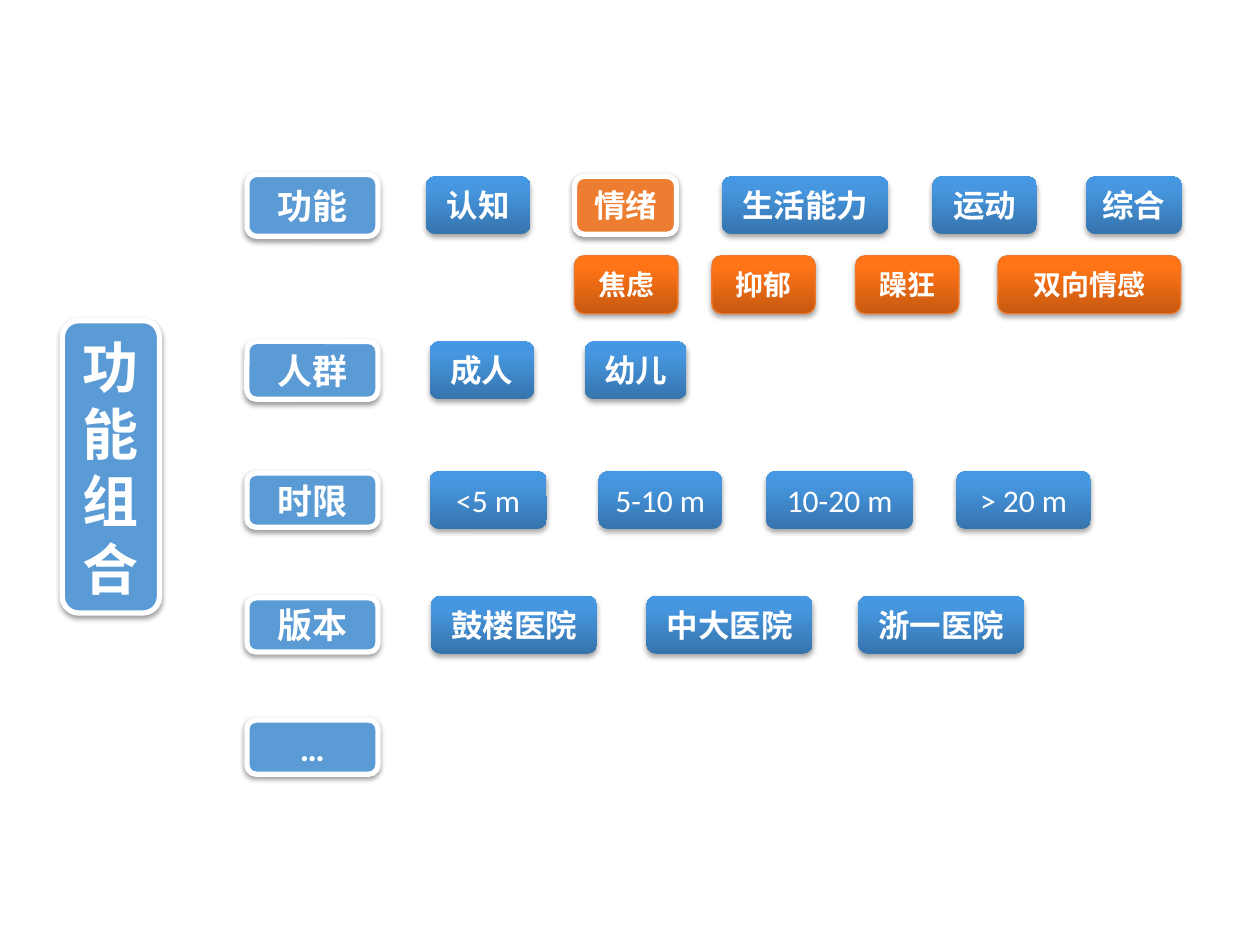
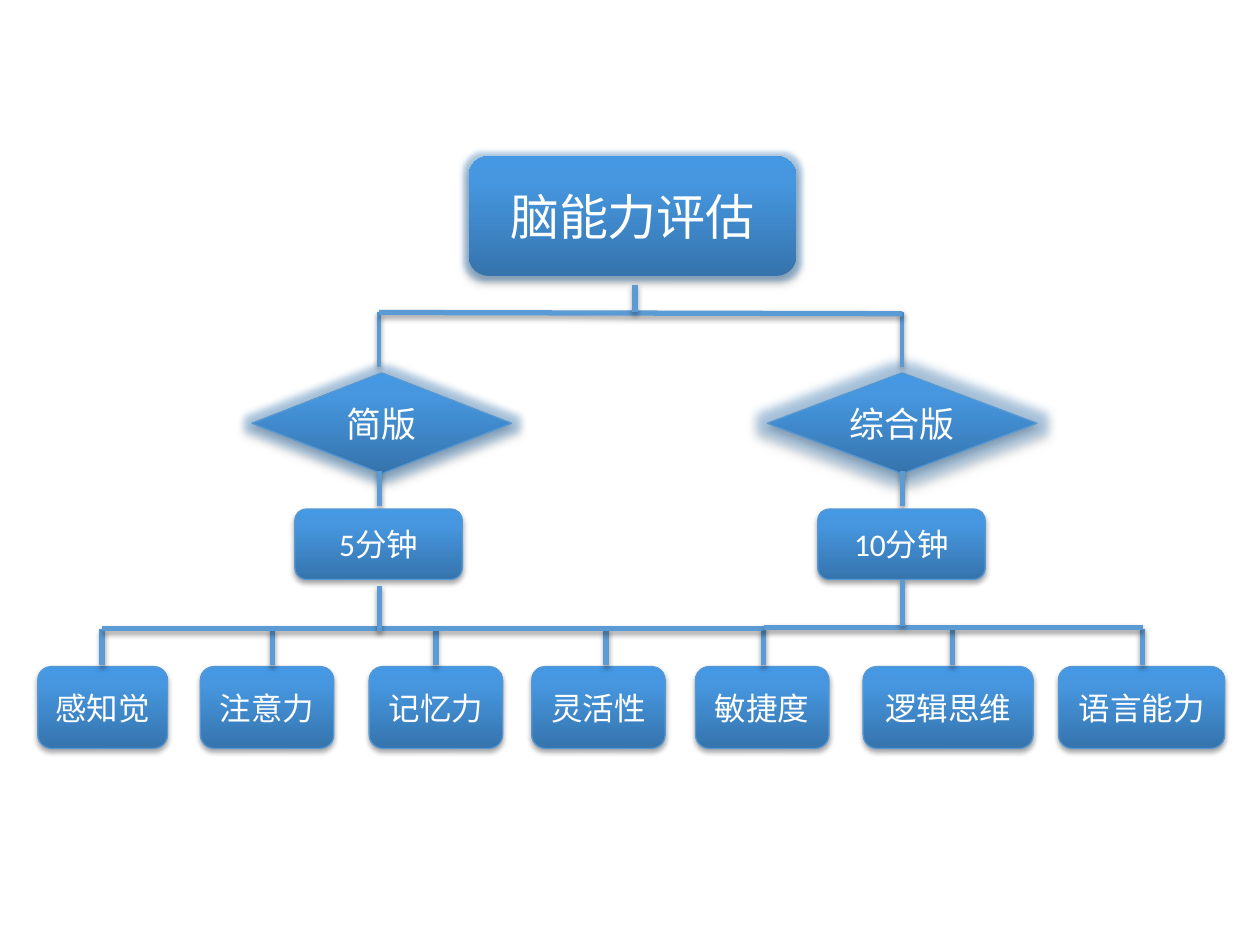
from copy import deepcopy

from lxml.etree import SubElement
from pptx import Presentation
from pptx.dml.color import RGBColor
from pptx.enum.shapes import MSO_CONNECTOR, MSO_SHAPE
from pptx.enum.text import MSO_ANCHOR, PP_ALIGN
from pptx.oxml.ns import qn
from pptx.util import Inches, Pt

# Shared look
FONT = "Calibri"
WHITE, BLACK = "FFFFFF", "000000"
BLUE, ORANGE, BLUE_EDGE, ORANGE_EDGE = "5B9BD5", "ED7D31", "5698D3", "EC792B"
BLUE_GRADIENT = ((0, "3674AD"), (0.8, "4697E0"), (1, "4498E4"))
ORANGE_GRADIENT = ((0, "C65910"), (0.8, "FF7416"), (1, "FF7517"))
# Shadows: opacity in percent, blur and distance in points
FLAT_SHADOW, CHIP_SHADOW, GLOW_SHADOW = (38, 3.1, 1.6), (35, 3.1, 1.8), (38, 4, 2)
PILL = MSO_SHAPE.FLOWCHART_ALTERNATE_PROCESS
DIAMOND = MSO_SHAPE.FLOWCHART_DECISION
ROUNDED = MSO_SHAPE.ROUNDED_RECTANGLE


def color(hex_string):
    return RGBColor.from_string(hex_string)


def add_effect_color(effect, hex_string, opacity):
    tint = SubElement(effect, qn("a:srgbClr"), val=hex_string)
    SubElement(tint, qn("a:alpha"), val=str(opacity * 1000))


def set_effects(properties, shadow, glow=0):
    """Give a shape or connector a downward shadow and an optional blue glow."""
    effects = properties.find(qn("a:effectLst"))
    if effects is None:
        effects = SubElement(properties, qn("a:effectLst"))
    if glow:
        halo = SubElement(effects, qn("a:glow"), rad=str(Pt(glow)))
        add_effect_color(halo, BLUE, 40)
    opacity, blur, distance = shadow
    outer = SubElement(effects, qn("a:outerShdw"), blurRad=str(Pt(blur)),
                       dist=str(Pt(distance)), dir="5400000", rotWithShape="0")
    add_effect_color(outer, BLACK, opacity)


def set_gradient(shape, stops):
    shape.fill.gradient()
    shape.fill.gradient_angle = 90
    stop_list = shape.element.spPr.find(".//" + qn("a:gsLst"))
    stop_list.append(deepcopy(stop_list[-1]))
    for stop, (position, hex_string) in zip(shape.fill.gradient_stops, stops):
        stop.position = position
        stop.color.rgb = color(hex_string)


def add_box(slide, kind, box, text, size, fill, edge=None, edge_width=0.75,
            shadow=CHIP_SHADOW, bold=False, glow=0):
    """Draw one labelled box; fill is a hex string or a list of gradient stops."""
    shape = slide.shapes.add_shape(kind, *(Inches(length) for length in box))
    if isinstance(fill, str):
        shape.fill.solid()
        shape.fill.fore_color.rgb = color(fill)
    else:
        set_gradient(shape, fill)
    if edge:
        shape.line.color.rgb = color(edge)
        shape.line.width = Pt(edge_width)
    else:
        shape.line.fill.background()
    shape.shadow.inherit = False
    set_effects(shape.element.spPr, shadow, glow)
    shape.text_frame.vertical_anchor = MSO_ANCHOR.MIDDLE
    paragraph = shape.text_frame.paragraphs[0]
    paragraph.text = text
    paragraph.alignment = PP_ALIGN.CENTER
    paragraph.font.name = FONT
    paragraph.font.size = Pt(size)
    paragraph.font.bold = bold
    paragraph.font.color.rgb = color(WHITE)
    return shape


def add_framed_box(slide, box, text, size, fill=BLUE):
    return add_box(slide, PILL, box, text, size, fill, WHITE, 3, FLAT_SHADOW, True)


def add_line(slide, start_x, start_y, end_x, end_y, width=3):
    ends = (Inches(length) for length in (start_x, start_y, end_x, end_y))
    connector = slide.shapes.add_connector(MSO_CONNECTOR.STRAIGHT, *ends)
    connector.line.color.rgb = color(BLUE)
    connector.line.width = Pt(width)
    set_effects(connector.element.spPr, FLAT_SHADOW)


# Slide 1: option matrix
CHIP_HEIGHT = 0.46
ROW_LEFT = 1.96
# Row: label, label height, middle, bold chips, chips as (text, offset, width)
OPTION_ROWS = [
    ("功能", 0.49, 1.63, True, [("认知", 1.42, 0.83), ("情绪", 2.6, 0.81),
                              ("生活能力", 3.77, 1.32), ("运动", 5.44, 0.83),
                              ("综合", 6.66, 0.76)]),
    ("人群", 0.46, 2.94, True, [("成人", 1.45, 0.83), ("幼儿", 2.68, 0.81)]),
    ("时限", 0.43, 3.97, False, [("<5 m", 1.45, 0.93), ("5-10 m", 2.79, 0.98),
                               ("10-20 m", 4.12, 1.17), ("> 20 m", 5.63, 1.07)]),
    ("版本", 0.43, 4.96, True, [("鼓楼医院", 1.46, 1.32), ("中大医院", 3.17, 1.32),
                              ("浙一医院", 4.85, 1.32)]),
    ("…", 0.43, 5.93, True, []),
]
SELECTED_OPTION = "情绪"
MOODS = [("焦虑", 2.6, 0.82), ("抑郁", 3.69, 0.82), ("躁狂", 4.83, 0.82),
         ("双向情感", 5.96, 1.45)]


def add_option_row(slide, left, label, label_height, middle, bold, chips):
    label_box = (left, middle - label_height / 2, 1.04, label_height)
    add_framed_box(slide, label_box, label, 20)
    for text, offset, width in chips:
        box = (left + offset, middle - CHIP_HEIGHT / 2, width, CHIP_HEIGHT)
        if text == SELECTED_OPTION:
            add_framed_box(slide, box, text, 18, ORANGE)
        else:
            add_box(slide, PILL, box, text, 18, BLUE_GRADIENT, bold=bold)


def add_mood_row(slide, left, top):
    for text, offset, width in MOODS:
        add_box(slide, PILL, (left + offset, top, width, CHIP_HEIGHT), text, 16,
                ORANGE_GRADIENT, ORANGE_EDGE, bold=True)


def build_option_slide(slide):
    heading = add_framed_box(slide, (-0.28, 3.32, 2.32, 0.77), "功能组合", 32)
    heading.rotation = 90
    heading.text_frame._txBody.bodyPr.set("vert", "vert270")
    for row in OPTION_ROWS:
        add_option_row(slide, ROW_LEFT, *row)
    add_mood_row(slide, ROW_LEFT, 2.03)


# Slide 2: assessment tree
ROOT_X, SHORT_X, FULL_X = 5.04, 3.01, 7.16
# Versions: centre, name, diamond left and width, glow, duration
VERSIONS = [(SHORT_X, "简版", 2, 2.06, 8, "5分钟"),
            (FULL_X, "综合版", 6.09, 2.14, 11, "10分钟")]
# Abilities: name, left, width, x of its branch
ABILITIES = [("感知觉", 0.3, 1.03, 0.81), ("注意力", 1.59, 1.06, 2.16),
             ("记忆力", 2.93, 1.06, 3.46), ("灵活性", 4.22, 1.06, 4.81),
             ("敏捷度", 5.52, 1.06, 6.06), ("逻辑思维", 6.85, 1.35, 7.56),
             ("语言能力", 8.4, 1.32, 9.07)]


def add_version(slide, top, center, name, left, width, glow, duration):
    add_box(slide, DIAMOND, (left, top, width, 0.8), name, 20, BLUE_GRADIENT,
            BLUE_EDGE, shadow=GLOW_SHADOW, glow=glow)
    add_line(slide, center, top + 0.78, center, top + 1.06)
    add_box(slide, ROUNDED, (center - 0.67, top + 1.08, 1.33, 0.56), duration, 18,
            BLUE_GRADIENT, BLUE_EDGE)


def add_root_branches(slide, top):
    """Fork from the root box to the two versions."""
    bar = top + 0.22
    for center in (SHORT_X, FULL_X):
        add_line(slide, center, bar, center, bar + 0.43, 2.25)
    add_line(slide, SHORT_X, bar, FULL_X, bar + 0.01)
    add_line(slide, ROOT_X, top, ROOT_X, bar)


def add_abilities(slide, bar):
    """Ability boxes hanging from one bar, fed by both versions."""
    for name, left, width, branch in ABILITIES:
        add_box(slide, ROUNDED, (left, bar + 0.3, width, 0.65), name, 18,
                BLUE_GRADIENT, BLUE_EDGE)
        add_line(slide, branch, bar, branch, bar + 0.29)
    first, shared, last = (ABILITIES[index][3] for index in (0, 4, 6))
    add_line(slide, first, bar, shared, bar)
    add_line(slide, shared, bar - 0.01, last, bar - 0.01)
    add_line(slide, SHORT_X, bar - 0.34, SHORT_X, bar + 0.02)
    add_line(slide, FULL_X, bar - 0.39, FULL_X, bar - 0.02)


def build_tree_slide(slide):
    add_box(slide, PILL, (3.72, 1.24, 2.6, 0.95), "脑能力评估", 28, BLUE_GRADIENT,
            shadow=GLOW_SHADOW, glow=5)
    for version in VERSIONS:
        add_version(slide, 2.96, *version)
    add_root_branches(slide, 2.26)
    add_abilities(slide, 4.99)


def main():
    presentation = Presentation()
    presentation.slide_width = Inches(10)
    presentation.slide_height = Inches(7.5)
    blank_layout = presentation.slide_layouts[6]
    for build in (build_option_slide, build_tree_slide):
        build(presentation.slides.add_slide(blank_layout))
    presentation.save("out.pptx")


if __name__ == "__main__":
    main()
